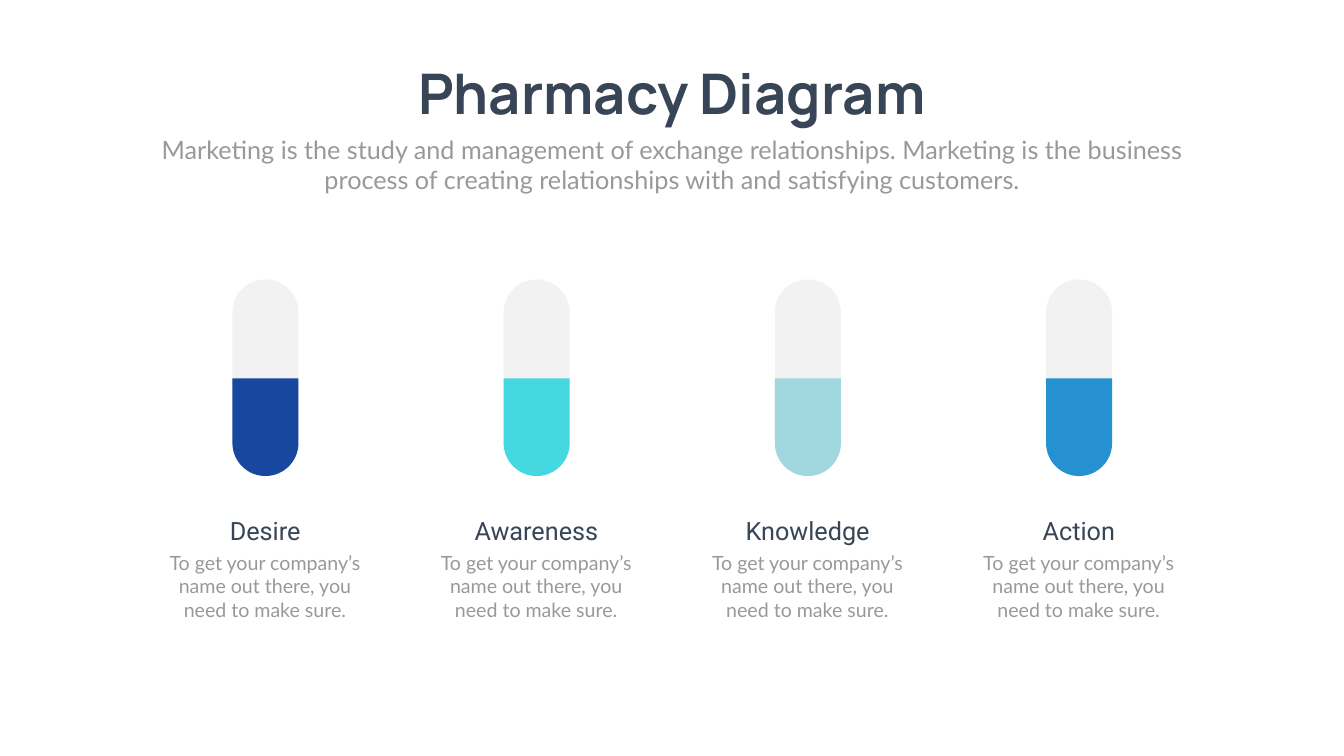
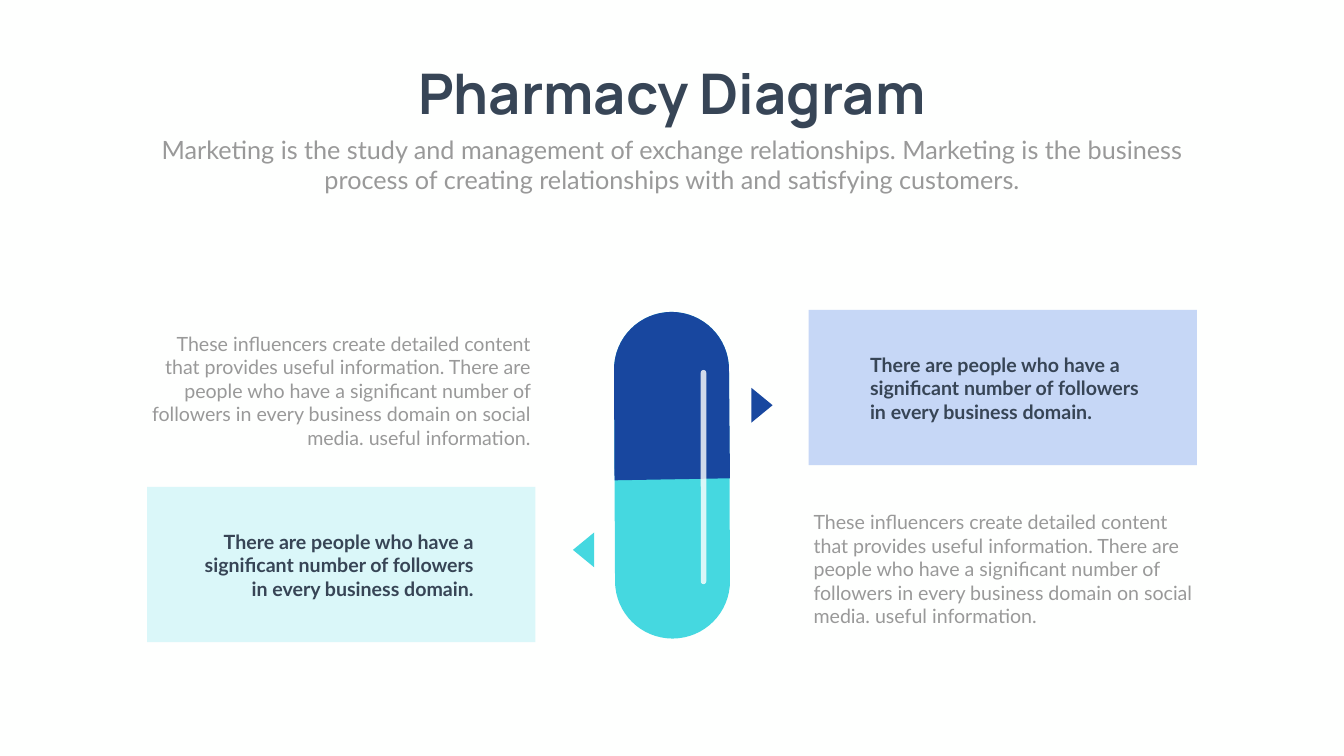
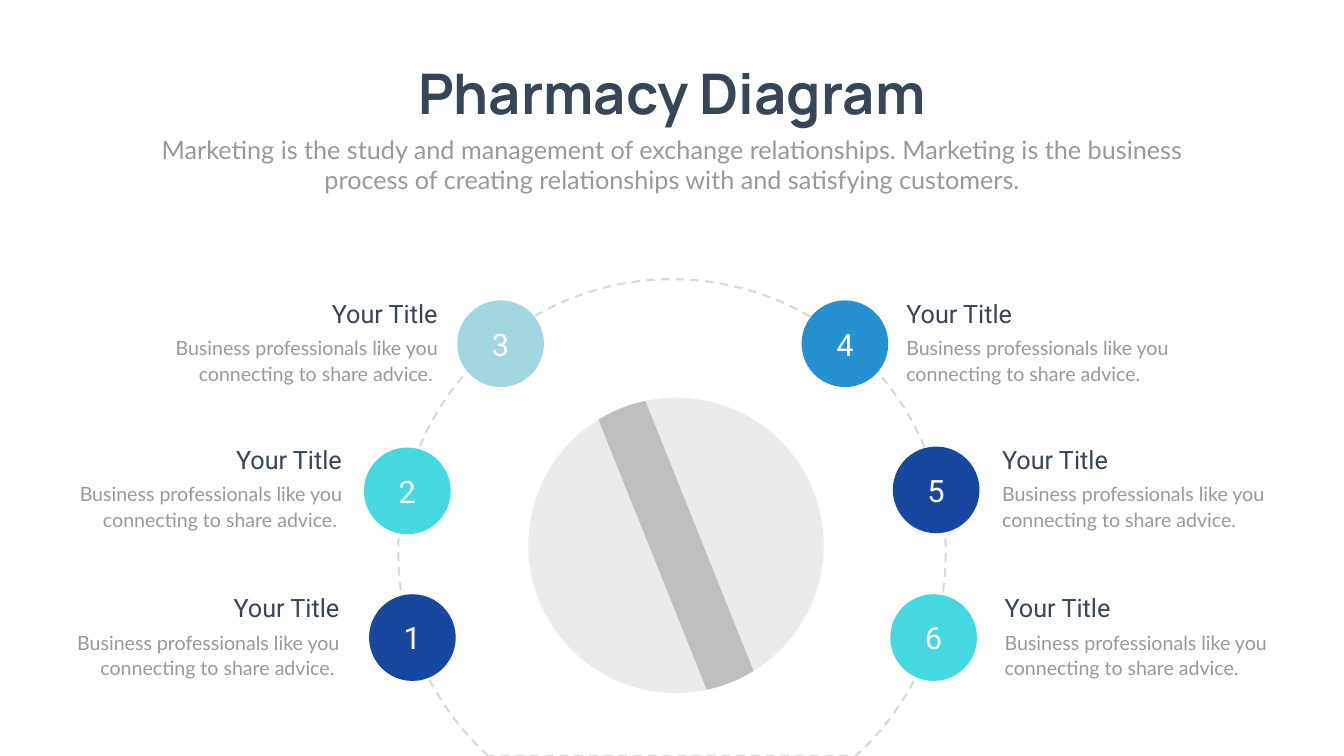
import math
from typing import NamedTuple

from lxml import etree
from pptx import Presentation
from pptx.dml.color import RGBColor
from pptx.enum.dml import MSO_LINE
from pptx.enum.shapes import MSO_SHAPE
from pptx.enum.text import MSO_ANCHOR, MSO_AUTO_SIZE, PP_ALIGN
from pptx.oxml.ns import qn
from pptx.util import Inches, Pt

LEFT, CENTER, RIGHT = PP_ALIGN.LEFT, PP_ALIGN.CENTER, PP_ALIGN.RIGHT
MIDDLE = MSO_ANCHOR.MIDDLE
GROW = MSO_AUTO_SIZE.SHAPE_TO_FIT_TEXT
DASH = MSO_LINE.DASH
RECTANGLE, ROUNDED = MSO_SHAPE.RECTANGLE, MSO_SHAPE.ROUNDED_RECTANGLE
ELLIPSE, TRIANGLE = MSO_SHAPE.OVAL, MSO_SHAPE.ISOSCELES_TRIANGLE

PAPER, WHITE, INK, GREY = "FEFFFE", "FFFFFF", "374556", "999999"
NAVY, TURQUOISE, PALE_TEAL, BLUE = "18479F", "45D8E0", "A1D7DF", "2591D0"

TITLE = "Pharmacy Diagram"
SUBTITLE = ("Marketing is the study and management of exchange relationships. "
            "Marketing is the business process of creating relationships with "
            "and satisfying customers.")
STAGE_NOTE = "To get your company’s name out there, you need to make sure."
HIGHLIGHT = ("There are people who have a significant number of followers "
             "in every business domain.")
DETAIL = ("These influencers create detailed content that provides useful "
          "information. There are people who have a significant number of "
          "followers in every business domain on social media. useful information.")
ADVICE = "Business professionals like you connecting to share advice."

Point = tuple[float, float]
Segment = list[Point]  # one point for a line, three for a Bézier curve


class Box(NamedTuple):
    left: float
    top: float
    width: float
    height: float

    def emu(self) -> list:
        return [Inches(length) for length in self]


class Style(NamedTuple):
    font: str
    size: float
    color: str
    bold: bool = False
    line_points: float = 0


TITLE_STYLE = Style("Manrope", 80, INK, bold=True)
SUBTITLE_STYLE = Style("Lato", 36, GREY)
HEADING_STYLE = Style("Roboto", 36, INK)
BODY_STYLE = Style("Lato", 28, GREY)
HIGHLIGHT_STYLE = Style("Lato", 28, INK, bold=True)
ADVICE_STYLE = Style("Lato", 28, GREY, line_points=36.6)
NUMBER_STYLE = Style("Roboto", 44, WHITE)


class Stage(NamedTuple):
    name: str
    color: str


class Panel(NamedTuple):
    band: Box
    color: str
    highlight: Box
    detail: Box
    align: PP_ALIGN


class Step(NamedTuple):
    number: int
    color: str
    circle_left: float
    circle_top: float
    text_edge: float
    text_top: float
    align: PP_ALIGN


STAGES = [Stage("Desire", NAVY), Stage("Awareness", TURQUOISE),
          Stage("Knowledge", PALE_TEAL), Stage("Action", BLUE)]
STAGE_PITCH = 5.38

PANELS = [
    Panel(Box(16.04, 6.15, 7.7, 3.08), "C6D7F6", Box(17.16, 6.95, 5.74, 1.51),
          Box(16.04, 10.07, 7.72, 2.46), LEFT),
    Panel(Box(2.92, 9.66, 7.7, 3.08), "DAF7F9", Box(3.75, 10.46, 5.74, 1.51),
          Box(2.9, 6.53, 7.72, 2.46), RIGHT),
]

# text_edge is the side of the text that faces the circle
STEPS = [
    Step(3, PALE_TEAL, 9.07, 5.96, 8.78, 5.87, RIGHT),
    Step(4, BLUE, 15.9, 5.96, 17.88, 5.87, LEFT),
    Step(2, TURQUOISE, 7.22, 8.88, 6.88, 8.77, RIGHT),
    Step(5, NAVY, 17.71, 8.86, 19.78, 8.77, LEFT),
    Step(1, NAVY, 7.32, 11.79, 6.83, 11.71, RIGHT),
    Step(6, TURQUOISE, 17.66, 11.79, 19.83, 11.71, LEFT),
]


def rgb(color: str) -> RGBColor:
    return RGBColor.from_string(color)


def paint(shape, color: str) -> None:
    shape.shadow.inherit = False
    shape.fill.solid()
    shape.fill.fore_color.rgb = rgb(color)
    shape.line.fill.background()


def write(frame, text: str, style: Style, align: PP_ALIGN) -> None:
    paragraph = frame.paragraphs[0]
    paragraph.alignment = align
    if style.line_points:
        paragraph.line_spacing = Pt(style.line_points)
    run = paragraph.add_run()
    run.text = text
    run.font.name = style.font
    run.font.size = Pt(style.size)
    run.font.bold = style.bold
    run.font.color.rgb = rgb(style.color)


def add_text(slide, box: Box, text: str, style: Style,
             align: PP_ALIGN = CENTER, wrap: bool = True) -> None:
    frame = slide.shapes.add_textbox(*box.emu()).text_frame
    frame.word_wrap = wrap
    frame.auto_size = GROW
    write(frame, text, style, align)


def add_preset(slide, kind: MSO_SHAPE, box: Box, color: str, rotation: float = 0):
    shape = slide.shapes.add_shape(kind, *box.emu())
    shape.rotation = rotation
    paint(shape, color)
    return shape


def arc(center: Point, radius: float, start: float, end: float) -> list[Segment]:
    """Line to a clockwise arc, then a curve per quadrant; 0 degrees is right."""
    def place(angle: float, along: float = 0) -> Point:
        cos, sin = math.cos(math.radians(angle)), math.sin(math.radians(angle))
        return (center[0] + radius * (cos - along * sin),
                center[1] + radius * (sin + along * cos))

    segments = [[place(start)]]
    while start < end:
        stop = min(end, 90 * (start // 90 + 1))
        reach = 4 / 3 * math.tan(math.radians(stop - start) / 4)
        segments.append([place(start, reach), place(stop, -reach), place(stop)])
        start = stop
    return segments


def turn(point: Point, degrees: float) -> Point:
    """Rotate a point clockwise about the slide's top left corner."""
    cos, sin = math.cos(math.radians(degrees)), math.sin(math.radians(degrees))
    return point[0] * cos - point[1] * sin, point[0] * sin + point[1] * cos


def add_outline(slide, segments: list[Segment], color: str, rotation: float = 0):
    """Draw a closed outline, its frame rotated but its points kept in place."""
    points = [turn(point, -rotation) for segment in segments for point in segment]
    first, *others = [(Inches(x), Inches(y)) for x, y in points]
    builder = slide.shapes.build_freeform(*first)
    builder.add_line_segments(others, close=True)
    shape = builder.convert_to_shape()

    corners = list(shape.element.iter(qn("a:lnTo")))
    for segment in segments[1:]:
        used, corners = corners[:len(segment)], corners[len(segment):]
        if len(segment) == 3:
            curve = etree.Element(qn("a:cubicBezTo"))
            used[0].addprevious(curve)
            for corner in used:
                curve.append(corner[0])
                corner.getparent().remove(corner)

    middle = turn((shape.left + shape.width / 2, shape.top + shape.height / 2),
                  rotation)
    shape.left = round(middle[0] - shape.width / 2)
    shape.top = round(middle[1] - shape.height / 2)
    shape.rotation = rotation
    paint(shape, color)
    return shape


def add_diagram_slide(deck):
    """Add a slide with the shared background, title and subtitle."""
    slide = deck.slides.add_slide(deck.slide_layouts[6])
    slide.background.fill.solid()
    slide.background.fill.fore_color.rgb = rgb(PAPER)
    add_text(slide, Box(7.54, 1.12, 11.58, 1.45), TITLE, TITLE_STYLE, wrap=False)
    add_text(slide, Box(2.92, 2.61, 20.82, 1.31), SUBTITLE, SUBTITLE_STYLE)
    return slide


def build_stages(deck) -> None:
    slide = add_diagram_slide(deck)
    radius, seam = 1.31 / 2, 7.51
    for i, stage in enumerate(STAGES):
        left = 4.61 + i * STAGE_PITCH
        middle, right = left + radius, left + 2 * radius
        upper_end = arc((middle, 6.2), radius, 180, 360)
        lower_end = arc((middle, 8.79), radius, 0, 180)
        add_outline(slide, upper_end + lower_end, "F2F2F2", 90)
        add_outline(slide, [[(left, seam)], [(right, seam)]] + lower_end,
                    stage.color, 90)
    for i, stage in enumerate(STAGES):
        shift = i * STAGE_PITCH
        add_text(slide, Box(2.98 + shift, 10.88, 4.55, 1.51), STAGE_NOTE, BODY_STYLE)
        add_text(slide, Box(3.63 + shift, 10.17, 3.26, 0.71), stage.name,
                 HEADING_STYLE)


def build_capsule(deck) -> None:
    slide = add_diagram_slide(deck)
    tilt = 69.9
    upper_end = arc((13.32, 7.33), 1.14, 180, 360)
    lower_end = arc((13.34, 11.53), 1.14, 0, 180)
    add_outline(slide, upper_end + lower_end, TURQUOISE, tilt)
    add_outline(slide, upper_end + [[(14.48, 9.49)], [(12.19, 9.53)]], NAVY, tilt)

    gloss = add_preset(slide, ROUNDED, Box(11.83, 9.41, 4.25, 0.11), WHITE, 90)
    gloss.adjustments[0] = 0.5
    white = next(gloss.element.iter(qn("a:srgbClr")))
    etree.SubElement(white, qn("a:alpha"), val="80000")

    add_preset(slide, TRIANGLE, Box(14.77, 7.83, 0.69, 0.42), NAVY, 90)
    add_preset(slide, TRIANGLE, Box(11.23, 10.7, 0.69, 0.42), TURQUOISE, 270)
    for panel in PANELS:
        add_preset(slide, RECTANGLE, panel.band, panel.color)
        add_text(slide, panel.highlight, HIGHLIGHT, HIGHLIGHT_STYLE, panel.align)
        add_text(slide, panel.detail, DETAIL, BODY_STYLE, panel.align)


def add_step_text(slide, step: Step) -> None:
    on_left = step.align == RIGHT
    advice = ADVICE + " " if on_left else ADVICE
    for text, style, top, width, height in (
            (advice, ADVICE_STYLE, step.text_top + 0.71, 5.64, 1.09),
            ("Your Title", HEADING_STYLE, step.text_top, 4.12, 0.71)):
        left = step.text_edge - width if on_left else step.text_edge
        add_text(slide, Box(left, top, width, height), text, style, step.align)


def build_tablet(deck) -> None:
    slide = add_diagram_slide(deck)
    ring = add_outline(slide, arc((13.33, 10.97), 5.43, 132.1, 407.9), WHITE)
    ring.fill.background()
    ring.line.color.rgb = rgb("D9D9D9")
    ring.line.width = Pt(3)
    ring.line.dash_style = DASH

    for step in STEPS:
        circle = add_preset(slide, ELLIPSE,
                            Box(step.circle_left, step.circle_top, 1.72, 1.72),
                            step.color)
        circle.text_frame.vertical_anchor = MIDDLE
        write(circle.text_frame, str(step.number), NUMBER_STYLE, CENTER)

    center, radius = (13.41, 10.82), 2.93
    add_outline(slide, arc(center, radius, 78, 238.3), "EBEBEB")
    add_outline(slide, arc(center, radius, 258, 418.3), "EBEBEB")
    add_outline(slide, arc(center, radius, 238.3, 258)
                + arc(center, radius, 58.3, 78), "BFBFBF")

    for step in STEPS:
        add_step_text(slide, step)


def main() -> None:
    deck = Presentation()
    deck.slide_width, deck.slide_height = Inches(26.66), Inches(15)
    build_stages(deck)
    build_capsule(deck)
    build_tablet(deck)
    deck.save("out.pptx")


if __name__ == "__main__":
    main()
